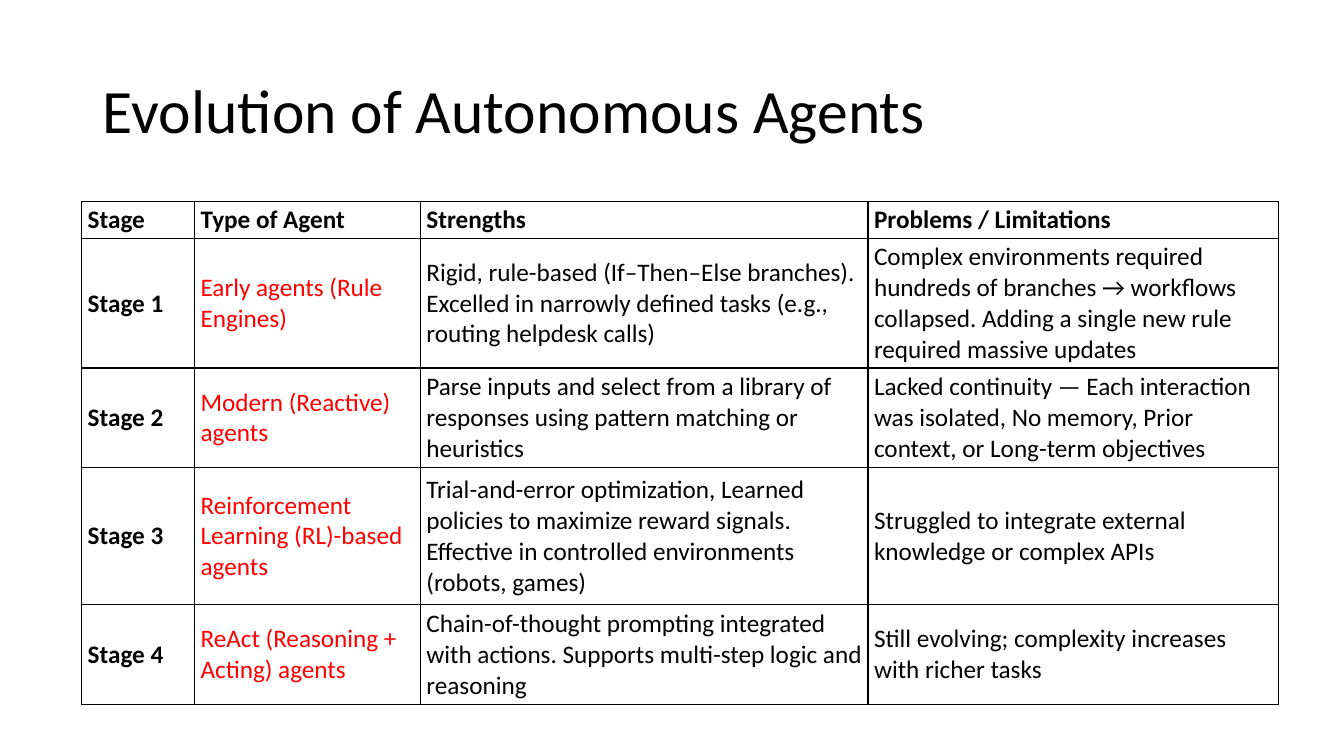
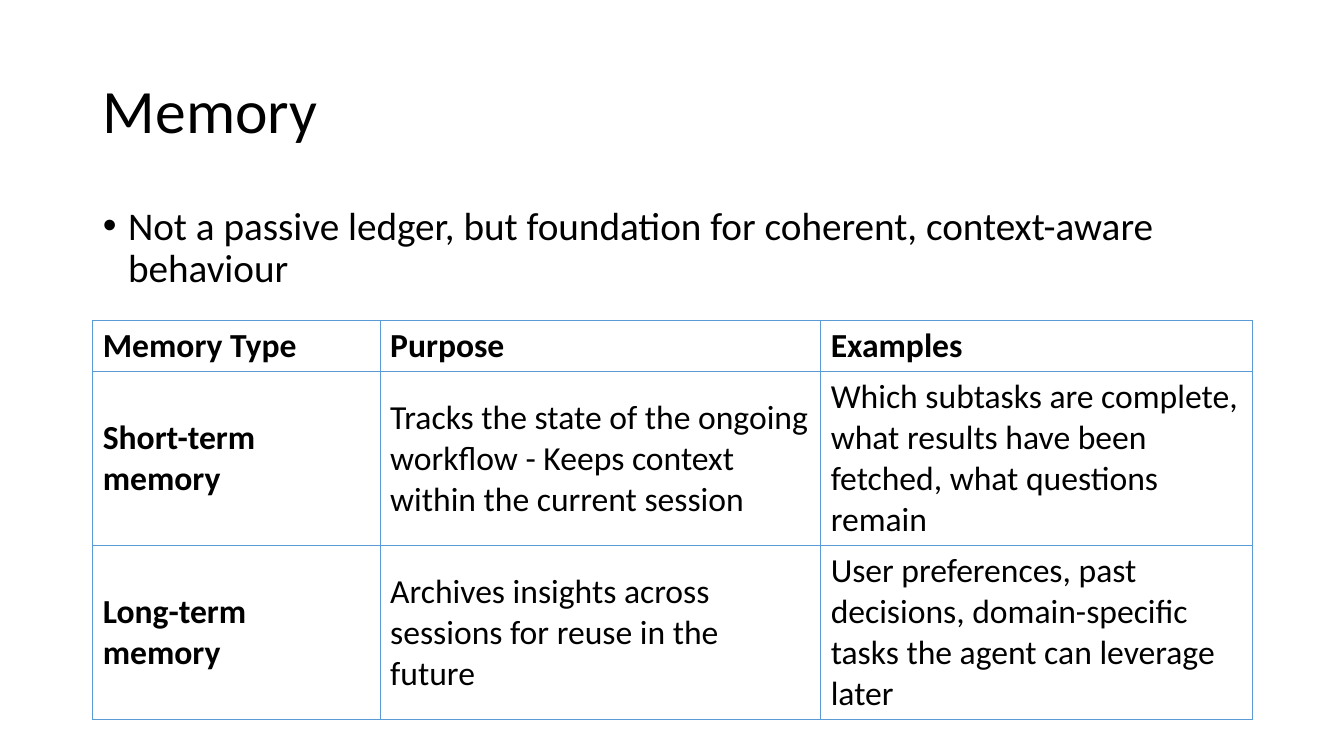
from lxml import etree
from pptx import Presentation
from pptx.dml.color import RGBColor
from pptx.enum.text import MSO_ANCHOR, MSO_AUTO_SIZE, PP_ALIGN
from pptx.oxml.ns import qn
from pptx.util import Pt

MIDDLE, TOP = MSO_ANCHOR.MIDDLE, MSO_ANCHOR.TOP
NO_AUTOFIT = MSO_AUTO_SIZE.NONE
LEFT = PP_ALIGN.LEFT

BLACK = RGBColor(0x00, 0x00, 0x00)
RED = RGBColor(0xFF, 0x00, 0x00)
BLUE = RGBColor(0x5B, 0x9B, 0xD5)

FONT = "Calibri"
EMU_PER_PX = 9144
SLIDE_WIDTH, SLIDE_HEIGHT = 1333, 750
TITLE_BOX = (92, 40, 1150, 145)
BODY_BOX = (92, 200, 1150, 476)
TITLE_ONLY, TITLE_AND_CONTENT = 5, 1

STAGES = [
    ["Stage", "Type of Agent", "Strengths", "Problems / Limitations"],
    ["Stage 1", "Early agents (Rule Engines)",
     "Rigid, rule-based (If–Then–Else branches). Excelled in narrowly defined tasks "
     "(e.g., routing helpdesk calls)",
     "Complex environments required hundreds of branches → workflows collapsed. "
     "Adding a single new rule required massive updates"],
    ["Stage 2", "Modern (Reactive) agents",
     "Parse inputs and select from a library of responses using pattern matching or heuristics",
     "Lacked continuity — Each interaction was isolated, No memory, Prior context, "
     "or Long-term objectives"],
    ["Stage 3", "Reinforcement Learning (RL)-based agents",
     "Trial-and-error optimization, Learned policies to maximize reward signals. "
     "Effective in controlled environments (robots, games)",
     "Struggled to integrate external knowledge or complex APIs"],
    ["Stage 4", "ReAct (Reasoning + Acting) agents",
     "Chain-of-thought prompting integrated with actions. Supports multi-step logic and reasoning",
     "Still evolving; complexity increases with richer tasks"],
]

MEMORY_TYPES = [
    ["Memory Type", "Purpose", "Examples"],
    ["Short-term memory",
     "Tracks the state of the ongoing workflow - Keeps context within the current session",
     "Which subtasks are complete, what results have been fetched, what questions remain"],
    ["Long-term memory",
     "Archives insights across sessions for reuse in the future",
     "User preferences, past decisions, domain-specific tasks the agent can leverage later"],
]


def px(length):
    return length * EMU_PER_PX


def style_text(paragraph, size, color=BLACK, bold=False):
    paragraph.alignment = LEFT
    font = paragraph.font
    font.name, font.size, font.bold = FONT, Pt(size), bold
    font.color.rgb = color


def fill_placeholder(placeholder, box, text, size, anchor):
    placeholder.left, placeholder.top, placeholder.width, placeholder.height = map(px, box)
    frame = placeholder.text_frame
    frame.text = text
    frame.word_wrap = True
    frame.auto_size = NO_AUTOFIT
    frame.vertical_anchor = anchor
    paragraph = frame.paragraphs[0]
    paragraph.line_spacing = 0.9
    style_text(paragraph, size)
    return paragraph


def add_titled_slide(presentation, layout_index, title):
    slide = presentation.slides.add_slide(presentation.slide_layouts[layout_index])
    fill_placeholder(slide.shapes.title, TITLE_BOX, title, 44, MIDDLE)
    return slide


def add_bullet(slide, box, text):
    paragraph = fill_placeholder(slide.placeholders[1], box, text, 28, TOP)
    paragraph.space_before = Pt(10)
    properties = paragraph._p.get_or_add_pPr()
    properties.set("marL", str(px(25)))
    properties.set("indent", str(px(-25)))
    bullet_font = etree.SubElement(properties, qn("a:buFont"))
    bullet_font.set("typeface", "Arial")
    bullet = etree.SubElement(properties, qn("a:buChar"))
    bullet.set("char", "•")
    default_run = properties.find(qn("a:defRPr"))
    if default_run is not None:
        properties.append(default_run)


def set_borders(cell, color):
    properties = cell._tc.get_or_add_tcPr()
    for position, side in enumerate(("lnL", "lnR", "lnT", "lnB")):
        line = etree.Element(qn(f"a:{side}"), w=str(Pt(1)))
        fill = etree.SubElement(line, qn("a:solidFill"))
        etree.SubElement(fill, qn("a:srgbClr"), val=str(color))
        properties.insert(position, line)


def add_grid(slide, origin, widths, heights, rows, size, border, margins=(10, 5), accent_column=None):
    left, top = origin
    frame = slide.shapes.add_table(
        len(rows), len(widths), px(left), px(top), px(sum(widths)), px(sum(heights)))
    table = frame.table
    table.first_row = table.horz_banding = False
    for column, width in zip(table.columns, widths):
        column.width = px(width)
    for row, height in zip(table.rows, heights):
        row.height = px(height)
    for row_index, texts in enumerate(rows):
        for column_index, text in enumerate(texts):
            cell = table.cell(row_index, column_index)
            cell.text = text
            cell.vertical_anchor = MIDDLE
            cell.margin_left = cell.margin_right = px(margins[0])
            cell.margin_top = cell.margin_bottom = px(margins[1])
            cell.fill.background()
            set_borders(cell, border)
            is_heading = row_index == 0 or column_index == 0
            is_accent = column_index == accent_column and not is_heading
            style_text(cell.text_frame.paragraphs[0], size, RED if is_accent else BLACK, is_heading)


def add_evolution_slide(presentation):
    slide = add_titled_slide(presentation, TITLE_ONLY, "Evolution of Autonomous Agents")
    add_grid(slide, (81, 200), (112, 224, 444, 407), (37, 128, 99, 136, 99),
             STAGES, 18, BLACK, margins=(6, 3), accent_column=1)


def add_memory_slide(presentation):
    slide = add_titled_slide(presentation, TITLE_AND_CONTENT, "Memory")
    add_bullet(slide, BODY_BOX,
               "Not a passive ledger, but foundation for coherent, context-aware behaviour")
    add_grid(slide, (92, 318), (285, 437, 428), (50, 172, 172), MEMORY_TYPES, 24, BLUE)


def main():
    presentation = Presentation()
    presentation.slide_width, presentation.slide_height = px(SLIDE_WIDTH), px(SLIDE_HEIGHT)
    add_evolution_slide(presentation)
    add_memory_slide(presentation)
    presentation.save("out.pptx")


if __name__ == "__main__":
    main()
